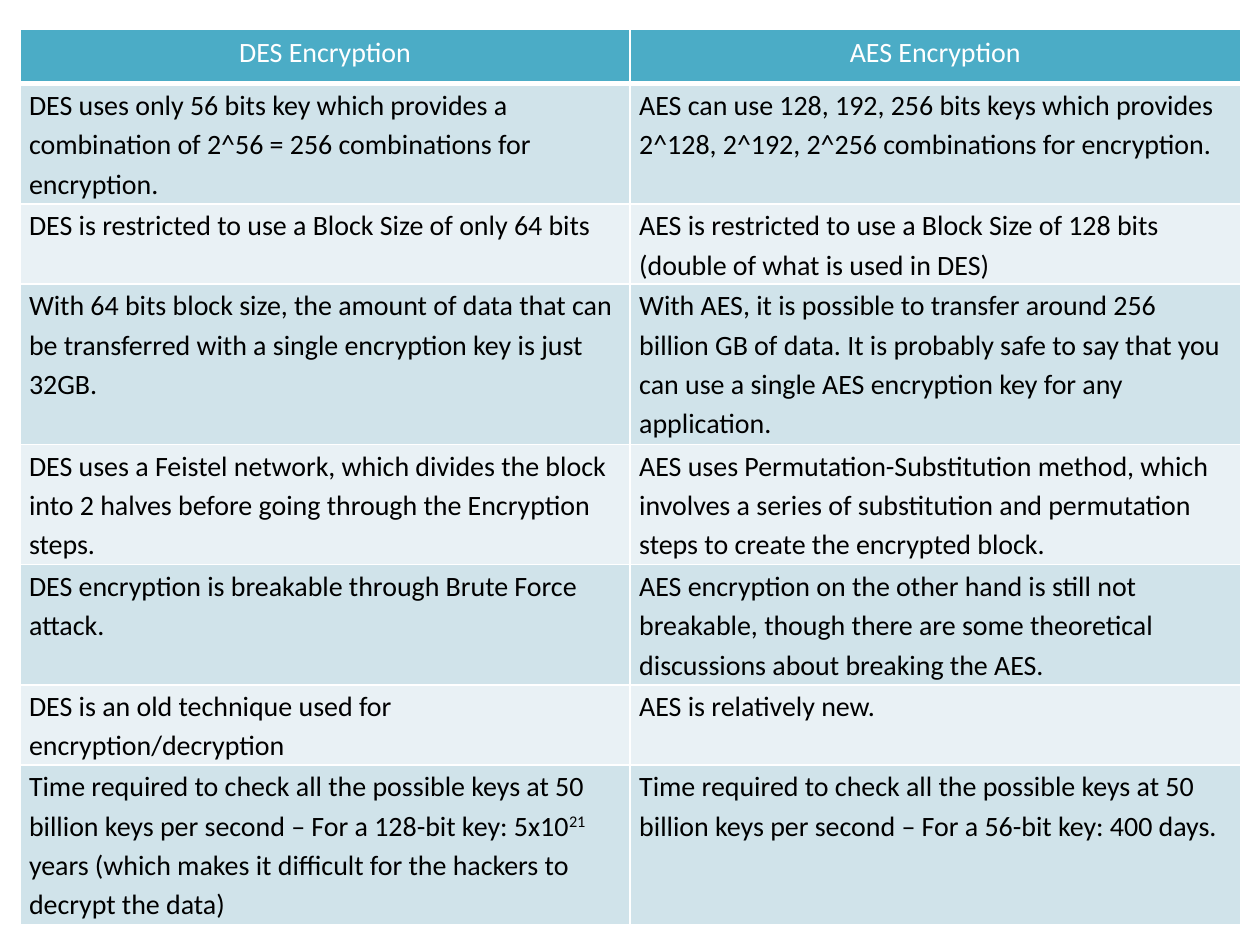
from lxml import etree
from pptx import Presentation
from pptx.dml.color import RGBColor
from pptx.enum import text
from pptx.oxml import ns
from pptx.util import Pt

COLORS = {
    "header": "4BACC6",
    "dark_band": "D0E3EA",
    "light_band": "E9F1F5",
    "border": "FFFFFF",
    "header_text": "FFFFFF",
    "body_text": "000000",
}
HEADER_HEIGHT = 31
LINE_HEIGHT = 22.9
COLUMN_WIDTH = 348.7
SUPERSCRIPT_MARK = "|"

HEADINGS = ["DES Encryption", "AES Encryption"]
COMPARISONS = [
    (3, "DES uses only 56 bits key which provides a combination of 2^56 = 256 combinations for encryption.",
     "AES can use 128, 192, 256 bits keys which provides 2^128, 2^192, 2^256 combinations for encryption."),
    (2, "DES is restricted to use a Block Size of only 64 bits",
     "AES is restricted to use a Block Size of 128 bits (double of what is used in DES)"),
    (4, "With 64 bits block size, the amount of data that can be transferred with a single encryption key is just 32GB.",
     "With AES, it is possible to transfer around 256 billion GB of data. It is probably safe to say "
     "that you can use a single AES encryption key for any application."),
    (3, "DES uses a Feistel network, which divides the block into 2 halves before going through the Encryption steps.",
     "AES uses Permutation-Substitution method, which involves a series of substitution and permutation "
     "steps to create the encrypted block."),
    (3, "DES encryption is breakable through Brute Force attack.",
     "AES encryption on the other hand is still not breakable, though there are some theoretical "
     "discussions about breaking the AES."),
    (2, "DES is an old technique used for encryption/decryption", "AES is relatively new."),
    (4, "Time required to check all the possible keys at 50 billion keys per second – For a 128-bit key: "
     "5x10|21 |years (which makes it difficult for the hackers to decrypt the data)",
     "Time required to check all the possible keys at 50 billion keys per second – For a 56-bit key: 400 days."),
]


def color(name):
    return RGBColor.from_string(COLORS[name])


def add_borders(cell, bottom_width):
    properties = cell._tc.get_or_add_tcPr()
    for side, width in (("L", 1), ("R", 1), ("T", 1), ("B", bottom_width)):
        line = etree.SubElement(properties, ns.qn(f"a:ln{side}"), w=str(Pt(width)))
        fill = etree.SubElement(line, ns.qn("a:solidFill"))
        etree.SubElement(fill, ns.qn("a:srgbClr"), val=COLORS["border"])


def write_cell(cell, content, fill, font_color, bottom_width=1):
    add_borders(cell, bottom_width)
    cell.fill.solid()
    cell.fill.fore_color.rgb = color(fill)
    paragraph = cell.text_frame.paragraphs[0]
    paragraph.font.size = Pt(16)
    paragraph.font.name = "Calibri"
    paragraph.font.bold = False
    paragraph.font.color.rgb = color(font_color)
    for index, part in enumerate(content.split(SUPERSCRIPT_MARK)):
        run = paragraph.add_run()
        run.text = part
        if index % 2:
            run.font._element.set("baseline", "30000")
    return paragraph


def write_heading(cell, heading):
    paragraph = write_cell(cell, heading, "header", "header_text", bottom_width=3)
    paragraph.alignment = text.PP_ALIGN.CENTER


def write_statement(cell, statement, band):
    paragraph = write_cell(cell, statement, band, "body_text")
    paragraph.line_spacing = 1.15
    cell.margin_left = cell.margin_right = Pt(5.2)
    cell.margin_top = cell.margin_bottom = 0


def add_comparison(slide):
    heights = [HEADER_HEIGHT] + [lines * LINE_HEIGHT for lines, *_ in COMPARISONS]
    table = slide.shapes.add_table(
        len(heights), len(HEADINGS), Pt(11.4), Pt(16.9),
        Pt(COLUMN_WIDTH * len(HEADINGS)), Pt(sum(heights))).table
    for column in table.columns:
        column.width = Pt(COLUMN_WIDTH)
    for row, height in zip(table.rows, heights):
        row.height = Pt(height)
    for column, heading in enumerate(HEADINGS):
        write_heading(table.cell(0, column), heading)
    for row, (_, *statements) in enumerate(COMPARISONS, start=1):
        band = "dark_band" if row % 2 else "light_band"
        for column, statement in enumerate(statements):
            write_statement(table.cell(row, column), statement, band)


def main():
    presentation = Presentation()
    presentation.slide_width = Pt(720)
    presentation.slide_height = Pt(540)
    slide = presentation.slides.add_slide(presentation.slide_layouts[6])
    add_comparison(slide)
    presentation.save("out.pptx")


if __name__ == "__main__":
    main()
